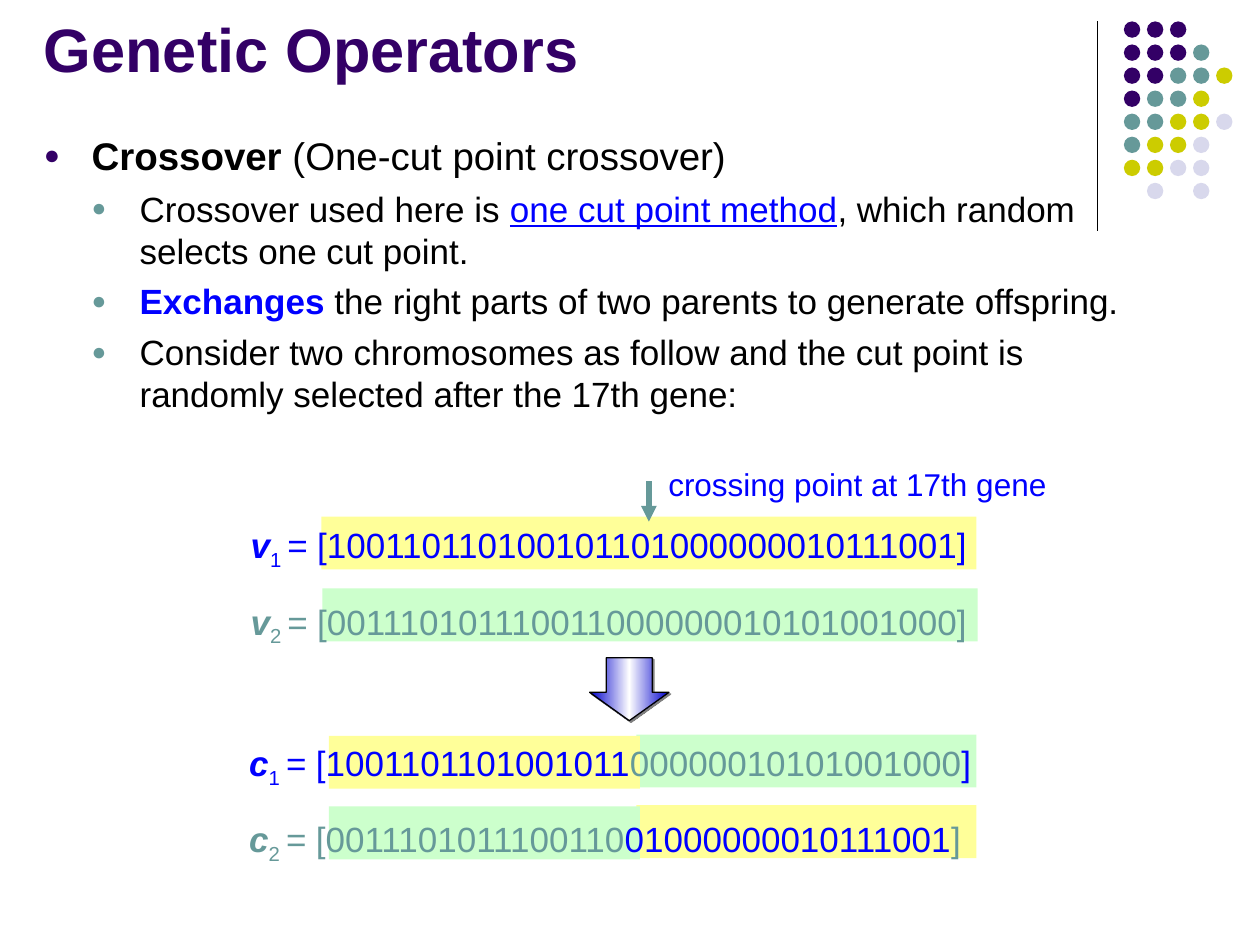
from dataclasses import dataclass
from copy import deepcopy

from lxml import etree
from pptx import Presentation, util as u
from pptx.dml.color import RGBColor
from pptx.enum import shapes, text
from pptx.oxml.ns import qn

INK, TEAL, BLUE, BLACK = "330066", "669999", "0000FF", "000000"
GOLD, MIST, MINT, LEMON = "CCCC00", "D8D8EC", "CCFFCC", "FFFF99"
HUES = {"P": INK, "T": TEAL, "Y": GOLD, "L": MIST}
DOTS = ["PPP", "PPPT", "PPTTY", "PTTY", "TTYYL", "TYYL", "YYLL", " L L"]


@dataclass
class Run:
    words: str
    hue: str = BLACK
    size: float = 20
    bold: bool = False
    slant: bool = False
    under: bool = False
    sub: bool = False


@dataclass
class Para:
    runs: list[Run]
    before: float = 0
    lines: float | None = None
    level: int | None = None
    dot: str = TEAL
    center: bool = False


@dataclass
class Band:
    left: float
    top: float
    width: float
    hue: str


BANDS = [
    Band(5.05, 5.83, 2.7, MINT),
    Band(5.05, 6.39, 2.7, LEMON),
    Band(2.56, 4.67, 5.2, MINT),
    Band(2.55, 4.1, 5.2, LEMON),
    Band(2.61, 6.4, 2.47, MINT),
    Band(2.61, 5.84, 2.47, LEMON),
]


def color(code: str) -> RGBColor:
    return RGBColor.from_string(code)


def add_dot(para, item: Para) -> None:
    props = para._p.get_or_add_pPr()
    props.set("marL", str(u.Inches(0.38 * (item.level + 1))))
    props.set("indent", str(-u.Inches(0.38)))
    if item.level:
        props.set("lvl", str(item.level))
    tint = etree.SubElement(props, qn("a:buClr"))
    etree.SubElement(tint, qn("a:srgbClr"), val=item.dot)
    etree.SubElement(props, qn("a:buSzPct"), val="70000")
    etree.SubElement(props, qn("a:buFont"), typeface="Arial")
    etree.SubElement(props, qn("a:buChar"), char="●")


def add_run(para, item: Run) -> None:
    run = para.add_run()
    run.text = item.words
    font = run.font
    font.name = "Arial"
    font.size = u.Pt(item.size)
    font.bold = item.bold
    font.italic = item.slant
    font.underline = item.under
    font.color.rgb = color(item.hue)
    if item.sub:
        run._r.get_or_add_rPr().set("baseline", "-25000")


def add_text(slide, left: float, top: float, width: float, height: float,
             items: list[Para], anchor=text.MSO_ANCHOR.TOP) -> None:
    box = slide.shapes.add_textbox(
        u.Inches(left), u.Inches(top), u.Inches(width), u.Inches(height))
    frame = box.text_frame
    frame.word_wrap = True
    frame.vertical_anchor = anchor
    for i, item in enumerate(items):
        para = frame.add_paragraph() if i else frame.paragraphs[0]
        if item.level is not None:
            add_dot(para, item)
        if item.before:
            para.space_before = u.Pt(item.before)
        if item.lines:
            para.line_spacing = item.lines
        if item.center:
            para.alignment = text.PP_ALIGN.CENTER
        for run in item.runs:
            add_run(para, run)


def add_shape(home, kind, left: float, top: float, width: float,
              height: float, hue: str):
    shape = home.shapes.add_shape(
        kind, u.Inches(left), u.Inches(top), u.Inches(width), u.Inches(height))
    shape.shadow.inherit = False
    shape.fill.solid()
    shape.fill.fore_color.rgb = color(hue)
    shape.line.fill.background()
    return shape


def add_line(slide, x: float, start: float, end: float, hue: str,
             width: float):
    line = slide.shapes.add_connector(
        shapes.MSO_CONNECTOR.STRAIGHT,
        u.Inches(x), u.Inches(start), u.Inches(x), u.Inches(end))
    line.line.color.rgb = color(hue)
    line.line.width = u.Pt(width)
    etree.SubElement(line._element.spPr, qn("a:effectLst"))
    return line


def add_arrow(slide) -> None:
    arrow = add_shape(slide, shapes.MSO_SHAPE.DOWN_ARROW,
                      4.68, 5.22, 0.63, 0.5, "0000CC")
    arrow.adjustments[0] = 0.58
    arrow.adjustments[1] = 0.45
    arrow.line.color.rgb = color(BLACK)
    arrow.line.width = u.Pt(0.75)
    arrow.fill.gradient()
    arrow.fill.gradient_angle = 0
    props = arrow._element.spPr
    stops = props.find(".//" + qn("a:gsLst"))
    stops.insert(1, deepcopy(stops[0]))
    for stop, hue, place in zip(arrow.fill.gradient_stops,
                                ["0000CC", "FFFFFF", "0000CC"], [0, 0.5, 1]):
        stop.color.rgb = color(hue)
        stop.position = place
    shade = etree.SubElement(
        props.find(qn("a:effectLst")), qn("a:outerShdw"),
        dist=str(u.Pt(1.4)), dir="2700000", algn="ctr", rotWithShape="0")
    etree.SubElement(shade, qn("a:srgbClr"), val="808080")


def gene(name: str, mark: str, hue: str, *parts: Run) -> list[Run]:
    return [Run(name, hue, bold=True, slant=True), Run(mark + " ", hue, sub=True),
            Run("= ", hue, slant=True), *parts]


def add_pair(slide, left: float, top: float, first: list[Run],
             second: list[Run]) -> None:
    add_text(slide, left, top, 6.07, 1.17,
             [Para(first, lines=1.2), Para(second, before=11, lines=1.2)])


def main() -> None:
    deck = Presentation()
    deck.slide_width, deck.slide_height = u.Inches(10), u.Inches(7.5)
    slide = deck.slides.add_slide(deck.slide_layouts[6])
    add_line(slide, 8.71, 0.17, 1.83, BLACK, 0.75)
    group = slide.shapes.add_group_shape()
    for row, marks in enumerate(DOTS):
        for col, mark in enumerate(marks):
            if mark in HUES:
                add_shape(group, shapes.MSO_SHAPE.OVAL, 8.92 + 0.183 * col,
                          0.17 + 0.183 * row, 0.13, 0.13, HUES[mark])
    for band in BANDS:
        add_shape(slide, shapes.MSO_SHAPE.RECTANGLE, band.left, band.top,
                  band.width, 0.42, band.hue)
    add_text(slide, 0.25, 0.17, 8.25, 0.55,
             [Para([Run("Genetic Operators", INK, 35, bold=True)])],
             text.MSO_ANCHOR.BOTTOM)
    points = [
        [Run("Crossover used here is "),
         Run("one cut point method", BLUE, under=True),
         Run(", which random selects one cut point.")],
        [Run("Exchanges", BLUE, bold=True),
         Run(" the right parts of two parents to generate offspring.")],
        [Run("Consider two chromosomes as follow and the cut point is "
             "randomly selected after the 17th gene:")],
    ]
    head = Para([Run("Crossover", size=22, bold=True),
                 Run(" (One-cut point crossover)", size=22)], level=0, dot=INK)
    add_text(slide, 0.25, 1, 9, 4.82,
             [head] + [Para(runs, before=5, level=1) for runs in points])
    add_pair(slide, 1.89, 4.03,
             gene("v", "1", BLUE, Run("[100110110100101101000000010111001]", BLUE)),
             gene("v", "2", TEAL, Run("[001110101110011000000010101001000]", TEAL)))
    add_pair(slide, 1.88, 5.76,
             gene("c", "1", BLUE, Run("[1001101101001011", BLUE),
                  Run("00000010101001000", TEAL), Run("]", BLUE)),
             gene("c", "2", TEAL, Run("[0011101011100110", TEAL),
                  Run("01000000010111001", BLUE), Run("]", TEAL)))
    cut = add_line(slide, 5.15, 4.14, 3.82, TEAL, 3)
    etree.SubElement(cut.line._get_or_add_ln(), qn("a:headEnd"), type="triangle")
    add_arrow(slide)
    add_text(slide, 4.98, 3.64, 3.65, 0.4,
             [Para([Run("crossing point at 17th gene", BLUE, 18)], center=True)],
             text.MSO_ANCHOR.MIDDLE)
    deck.save("out.pptx")


if __name__ == "__main__":
    main()
